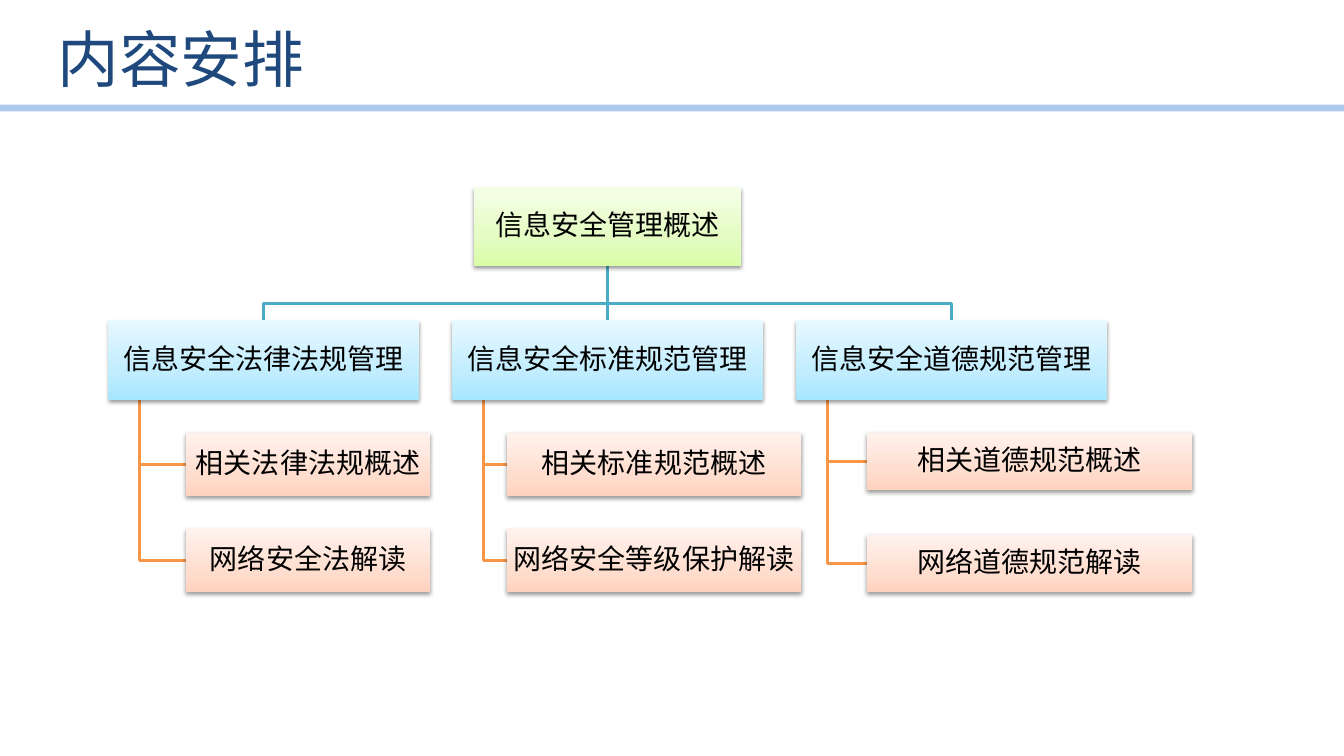
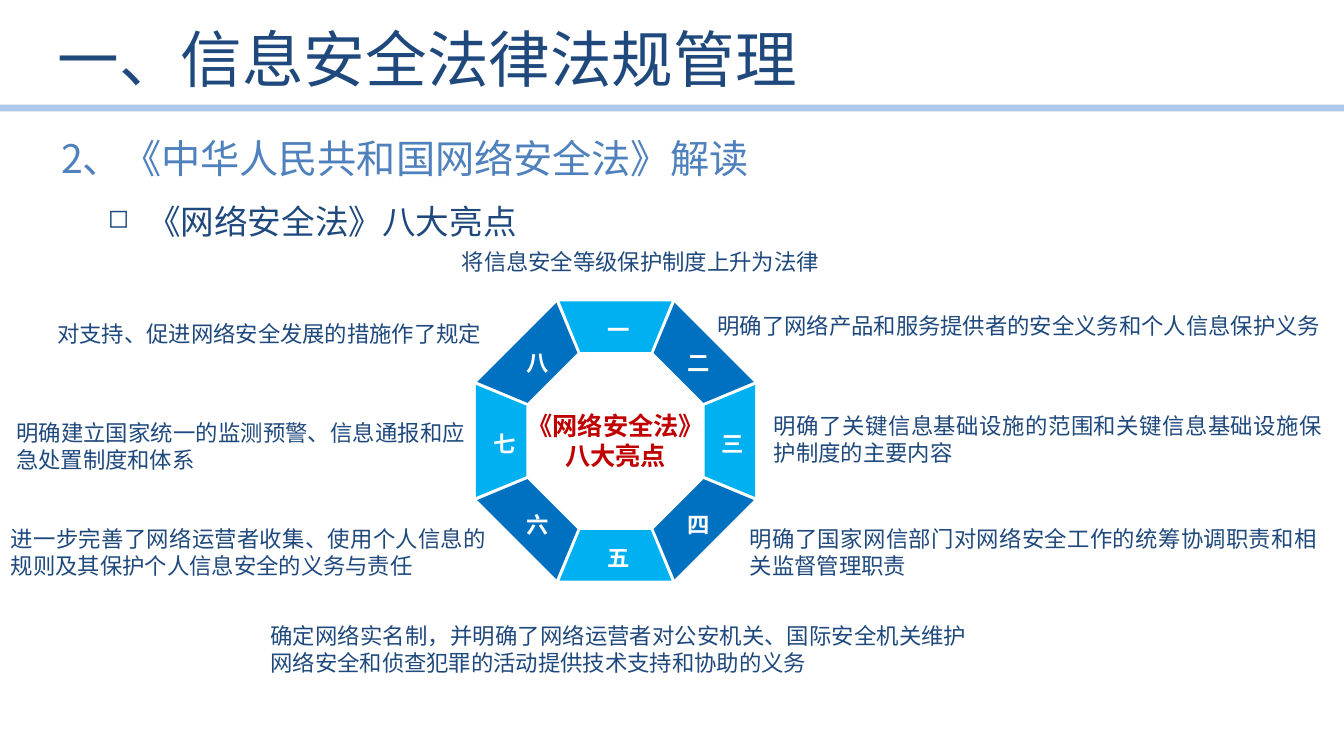
"""Build two slides on information security management: an outline and a ring of highlights."""
from dataclasses import dataclass
from math import cos, radians, sin
from typing import Optional

from lxml.etree import SubElement
from pptx import Presentation
from pptx.dml.color import RGBColor
from pptx.enum.shapes import MSO_CONNECTOR, MSO_SHAPE
from pptx.enum.text import MSO_ANCHOR as Anchor, PP_ALIGN as Align
from pptx.oxml import parse_xml
from pptx.oxml.ns import nsdecls, qn
from pptx.shapes.autoshape import Shape
from pptx.shapes.connector import Connector
from pptx.slide import Slide
from pptx.util import Pt

FONT = "Noto Sans CJK SC"
COLORS = {
    "navy": "1F497D", "blue": "4F81BD", "rule": "8EB4E3", "red": "C00000",
    "white": "FFFFFF", "black": "000000", "teal": "4BACC6", "orange": "F79646",
    "sky": "00B0F0", "ocean": "0070C0",
}
GRADIENTS = {
    "root": ("DAFDA7", "E4FCC2", "F5FFE7"),
    "branch": ("A7E6FF", "C1EDFF", "E7F8FF"),
    "leaf": ("FFD2BD", "FFDED0", "FFF2ED"),
}
GRADIENT_STOPS = (0, 35000, 100000)

SLIDE_WIDTH, SLIDE_HEIGHT = 960, 540
RULE_TOP = 77.2

ROOT_TOP, ROOT_WIDTH = 133.7, 191
NODE_HEIGHT = 56.5
BAR_TOP = 216.7
BRANCH_TOP, BRANCH_LEFT, BRANCH_WIDTH, BRANCH_STEP = 228.9, 77.4, 222, 245.7
TRUNK_INDENT = 22.2
LEAF_TOP, LEAF_BOTTOM = 309, 423

RING_X, RING_Y = 439.7, 315
OUTER_RADIUS, OUTER_HALF = 99.7, 40
INNER_RADIUS, INNER_HALF = 63.7, 25.2
NUMERAL_RADIUS, NUMERAL_WIDTH, NUMERAL_HEIGHT = 81.5, 31, 26.6
NUMERAL_SHIFT_X, NUMERAL_SHIFT_Y = 2.5, 2


@dataclass(frozen=True)
class Box:
    left: float
    top: float
    width: float
    height: float


@dataclass(frozen=True)
class TextStyle:
    size: float
    color: str = "navy"
    bold: bool = False
    align: Align = Align.LEFT
    anchor: Anchor = Anchor.TOP
    inset_x: float = 7.2
    inset_y: float = 3.6
    line_spacing: Optional[float] = None
    wrap: bool = True


@dataclass(frozen=True)
class Branch:
    title: str
    leaf_left: float
    leaf_width: float
    leaf_height: float
    leaves: tuple[str, ...]


@dataclass(frozen=True)
class Highlight:
    numeral: str
    text: str
    box: Box
    align: Align = Align.JUSTIFY


TITLE = TextStyle(44, anchor=Anchor.MIDDLE)
SUBTITLE = TextStyle(28, "blue")
BULLET = TextStyle(24, align=Align.JUSTIFY, line_spacing=1.2)
NODE = TextStyle(20, "black", align=Align.CENTER, anchor=Anchor.MIDDLE,
                 inset_x=1, inset_y=1, line_spacing=0.9)
NUMERAL = TextStyle(16, "white", bold=True, wrap=False)
RING_CENTER = TextStyle(18, "red", bold=True, align=Align.CENTER)

BRANCHES = (
    Branch("信息安全法律法规管理", 132.9, 174.5, 45.5, ("相关法律法规概述", "网络安全法解读")),
    Branch("信息安全标准规范管理", 362.3, 209.8, 45.5, ("相关标准规范概述", "网络安全等级保护解读")),
    Branch("信息安全道德规范管理", 619.3, 232.3, 41, ("相关道德规范概述", "网络道德规范解读")),
)
HIGHLIGHTS = (
    Highlight("一", "将信息安全等级保护制度上升为法律", Box(319, 177.5, 277, 19.4), Align.CENTER),
    Highlight("二", "明确了网络产品和服务提供者的安全义务和个人信息保护义务",
              Box(512.5, 223, 434, 19.4), Align.LEFT),
    Highlight("三", "明确了关键信息基础设施的范围和关键信息基础设施保护制度的主要内容",
              Box(552.8, 294.4, 392, 38.8)),
    Highlight("四", "明确了国家网信部门对网络安全工作的统筹协调职责和相关监督管理职责",
              Box(535.6, 375, 405.6, 38.8)),
    Highlight("五", "确定网络实名制，并明确了网络运营者对公安机关、国际安全机关维护"
              "网络安全和侦查犯罪的活动提供技术支持和协助的义务", Box(193.2, 444.5, 497.7, 38.8)),
    Highlight("六", "进一步完善了网络运营者收集、使用个人信息的规则及其保护个人信息安全的义务与责任",
              Box(7.8, 375, 339.8, 38.8)),
    Highlight("七", "明确建立国家统一的监测预警、信息通报和应急处置制度和体系",
              Box(11.5, 299.3, 321, 38.8)),
    Highlight("八", "对支持、促进网络安全发展的措施作了规定", Box(7.9, 229, 336.2, 19.4), Align.RIGHT),
)


def rgb(name: str) -> RGBColor:
    return RGBColor.from_string(COLORS[name])


def write_text(shape: Shape, text: str, style: TextStyle) -> None:
    text_frame = shape.text_frame
    text_frame.word_wrap = style.wrap
    text_frame.vertical_anchor = style.anchor
    text_frame.margin_left = text_frame.margin_right = Pt(style.inset_x)
    text_frame.margin_top = text_frame.margin_bottom = Pt(style.inset_y)
    text_frame.text = text
    for paragraph in text_frame.paragraphs:
        paragraph.alignment = style.align
        if style.line_spacing:
            paragraph.line_spacing = style.line_spacing
        for run in paragraph.runs:
            run.font.name = FONT
            run.font.size = Pt(style.size)
            run.font.bold = style.bold
            run.font.color.rgb = rgb(style.color)
            SubElement(run.font._element, qn("a:ea")).set("typeface", FONT)


def add_text(slide: Slide, box: Box, text: str, style: TextStyle) -> Shape:
    shape = slide.shapes.add_textbox(Pt(box.left), Pt(box.top), Pt(box.width), Pt(box.height))
    write_text(shape, text, style)
    return shape


def add_line(slide: Slide, start: tuple[float, float], end: tuple[float, float],
             color: str, width: float = 2) -> Connector:
    connector = slide.shapes.add_connector(
        MSO_CONNECTOR.STRAIGHT, *(Pt(value) for value in (*start, *end)))
    connector.line.color.rgb = rgb(color)
    connector.line.width = Pt(width)
    SubElement(connector._element.spPr, qn("a:effectLst"))
    return connector


def add_outline(slide: Slide, points: list[tuple[float, float]], close: bool) -> Shape:
    first, *others = [(Pt(x), Pt(y)) for x, y in points]
    builder = slide.shapes.build_freeform(*first)
    builder.add_line_segments(others, close=close)
    shape = builder.convert_to_shape()
    shape.shadow.inherit = False
    return shape


def add_elbow(slide: Slide, points: list[tuple[float, float]], color: str) -> None:
    elbow = add_outline(slide, points, close=False)
    elbow.fill.background()
    elbow.line.color.rgb = rgb(color)
    elbow.line.width = Pt(2)


def add_titled_slide(presentation: Presentation, title: str) -> Slide:
    slide = presentation.slides.add_slide(presentation.slide_layouts[6])
    rule = add_line(slide, (0, RULE_TOP), (SLIDE_WIDTH, RULE_TOP), "rule", 4.75)
    color = rule._element.spPr.find(".//" + qn("a:srgbClr"))
    SubElement(color, qn("a:alpha")).set("val", "73000")
    add_text(slide, Box(34, 6, 793, 70), title, TITLE)
    return slide


def add_node(slide: Slide, box: Box, text: str, gradient: str) -> Shape:
    shape = slide.shapes.add_shape(
        MSO_SHAPE.RECTANGLE, Pt(box.left), Pt(box.top), Pt(box.width), Pt(box.height))
    shape.line.fill.background()
    shape.shadow.inherit = False
    properties = shape._element.spPr
    stops = "".join(
        f'<a:gs pos="{position}"><a:srgbClr val="{color}"/></a:gs>'
        for position, color in zip(GRADIENT_STOPS, GRADIENTS[gradient]))
    properties.insert(2, parse_xml(
        f'<a:gradFill {nsdecls("a")} rotWithShape="1"><a:gsLst>{stops}</a:gsLst>'
        '<a:lin ang="16200000" scaled="0"/></a:gradFill>'))
    properties.find(qn("a:effectLst")).append(parse_xml(
        f'<a:outerShdw {nsdecls("a")} blurRad="{Pt(3.1)}" dist="{Pt(1.6)}" dir="5400000" '
        f'rotWithShape="0"><a:srgbClr val="{COLORS["black"]}"><a:alpha val="38000"/>'
        '</a:srgbClr></a:outerShdw>'))
    write_text(shape, text, NODE)
    return shape


def add_branch(slide: Slide, branch: Branch, left: float) -> Shape:
    trunk = left + TRUNK_INDENT
    step = (LEAF_BOTTOM - branch.leaf_height - LEAF_TOP) / (len(branch.leaves) - 1)
    for index, text in enumerate(branch.leaves):
        top = LEAF_TOP + index * step
        middle = top + branch.leaf_height / 2
        add_elbow(slide, [(trunk, BRANCH_TOP + NODE_HEIGHT), (trunk, middle),
                          (branch.leaf_left, middle)], "orange")
        add_node(slide, Box(branch.leaf_left, top, branch.leaf_width, branch.leaf_height),
                 text, "leaf")
    return add_node(slide, Box(left, BRANCH_TOP, BRANCH_WIDTH, NODE_HEIGHT),
                    branch.title, "branch")


def build_outline(presentation: Presentation) -> None:
    slide = add_titled_slide(presentation, "内容安排")
    lefts = [BRANCH_LEFT + index * BRANCH_STEP for index in range(len(BRANCHES))]
    first, center, last = (left + BRANCH_WIDTH / 2 for left in lefts)
    root_bottom = ROOT_TOP + NODE_HEIGHT
    for end in (last, first):
        add_elbow(slide, [(center, root_bottom), (center, BAR_TOP),
                          (end, BAR_TOP), (end, BRANCH_TOP)], "teal")
    stem = add_line(slide, (center, root_bottom), (center, BRANCH_TOP), "teal")
    root = add_node(slide, Box(center - ROOT_WIDTH / 2, ROOT_TOP, ROOT_WIDTH, NODE_HEIGHT),
                    "信息安全管理概述", "root")
    nodes = [add_branch(slide, branch, left) for branch, left in zip(BRANCHES, lefts)]
    stem.begin_connect(root, 2)
    stem.end_connect(nodes[1], 0)


def ring_point(angle: float, radius: float, offset: float = 0) -> tuple[float, float]:
    return (RING_X + radius * sin(angle) + offset * cos(angle),
            RING_Y - radius * cos(angle) + offset * sin(angle))


def add_segment(slide: Slide, angle: float, numeral: str, color: str) -> None:
    corners = [
        ring_point(angle, radius, offset)
        for radius, offset in ((OUTER_RADIUS, -OUTER_HALF), (OUTER_RADIUS, OUTER_HALF),
                               (INNER_RADIUS, INNER_HALF), (INNER_RADIUS, -INNER_HALF))]
    segment = add_outline(slide, corners, close=True)
    segment.fill.solid()
    segment.fill.fore_color.rgb = rgb(color)
    segment.line.fill.background()
    x, y = ring_point(angle, NUMERAL_RADIUS)
    add_text(slide, Box(x + NUMERAL_SHIFT_X - NUMERAL_WIDTH / 2,
                        y + NUMERAL_SHIFT_Y - NUMERAL_HEIGHT / 2,
                        NUMERAL_WIDTH, NUMERAL_HEIGHT), numeral, NUMERAL)


def build_highlights(presentation: Presentation) -> None:
    slide = add_titled_slide(presentation, "一、信息安全法律法规管理")
    add_text(slide, Box(36.7, 92.4, 540, 41), "2、《中华人民共和国网络安全法》解读", SUBTITLE)

    bullet = add_text(slide, Box(34, 134, 884, 48), "《网络安全法》八大亮点", BULLET)
    properties = bullet.text_frame.paragraphs[0]._p.get_or_add_pPr()
    properties.set("marL", str(Pt(64)))
    properties.set("indent", str(Pt(-28)))
    SubElement(properties, qn("a:buSzPct")).set("val", "77000")
    SubElement(properties, qn("a:buChar")).set("char", "◻")

    for index, highlight in enumerate(HIGHLIGHTS):
        angle = radians(index * 360 / len(HIGHLIGHTS))
        add_segment(slide, angle, highlight.numeral, ("sky", "ocean")[index % 2])
        add_text(slide, highlight.box, highlight.text,
                 TextStyle(16, align=highlight.align, inset_x=0, inset_y=0))
    add_text(slide, Box(365.6, 289.4, 148.3, 51), "《网络安全法》\n八大亮点", RING_CENTER)


def main() -> None:
    presentation = Presentation()
    presentation.slide_width = Pt(SLIDE_WIDTH)
    presentation.slide_height = Pt(SLIDE_HEIGHT)
    build_outline(presentation)
    build_highlights(presentation)
    presentation.save("out.pptx")


if __name__ == "__main__":
    main()
